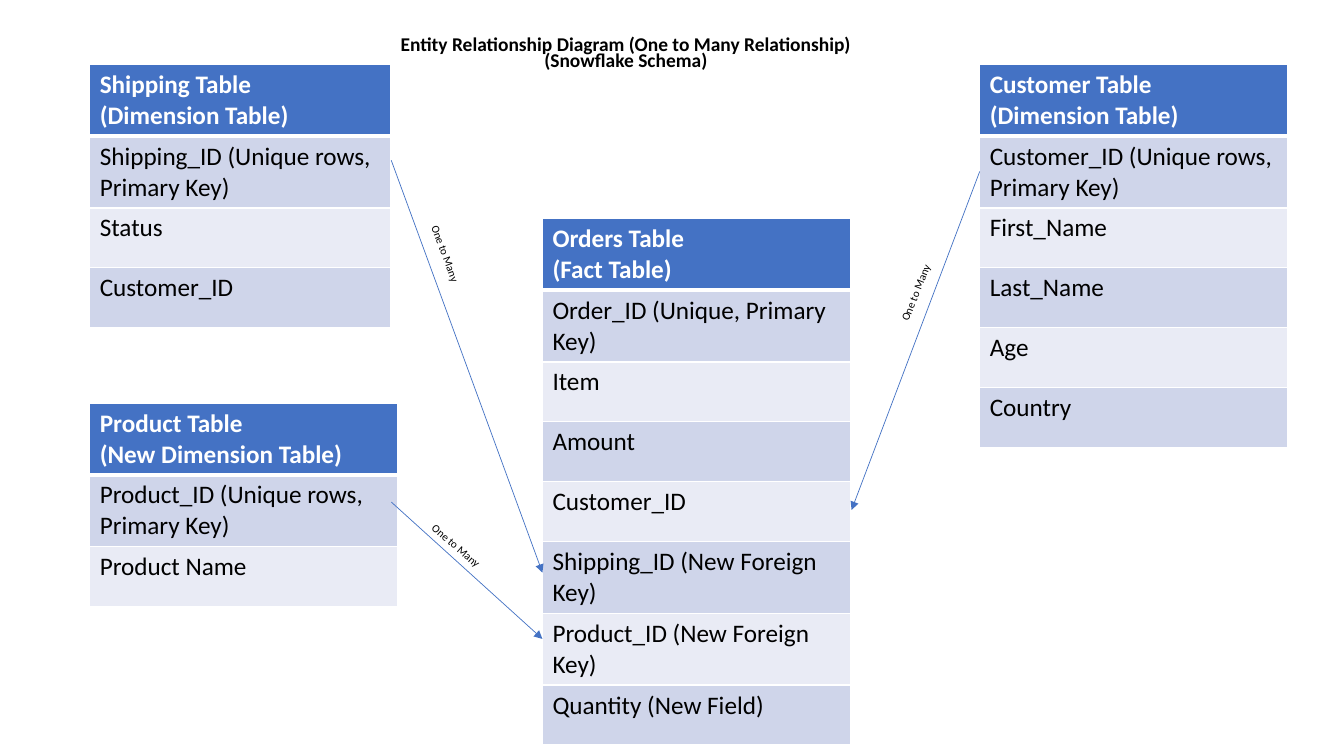
from dataclasses import dataclass

from lxml.etree import SubElement
from pptx import Presentation
from pptx.dml.color import RGBColor
from pptx.enum.shapes import MSO_CONNECTOR
from pptx.enum.text import MSO_ANCHOR, MSO_AUTO_SIZE, PP_ALIGN
from pptx.oxml.ns import qn
from pptx.util import Cm, Pt


@dataclass(frozen=True)
class Theme:
    font: str = "Calibri"
    accent: str = "4472C4"
    bands: tuple = ("CFD5EA", "E9EBF5")
    light: str = "FFFFFF"
    dark: str = "000000"
    title_size: float = 13.9
    table_size: float = 18
    label_size: float = 8
    row_height: float = 1.51
    grid_width: float = 1
    header_rule: float = 3
    link_width: float = 0.5


class DiagramSlide:
    def __init__(self, page, theme):
        self.page = page
        self.theme = theme

    def style_text(self, frame, size, color, bold=False):
        for paragraph in frame.paragraphs:
            font = paragraph.font
            font.name = self.theme.font
            font.size = Pt(size)
            font.bold = bold
            font.color.rgb = RGBColor.from_string(color)

    def title(self, text, left, top, width, height):
        box = self.page.shapes.title
        box.left, box.top, box.width, box.height = map(Cm, (left, top, width, height))
        frame = box.text_frame
        frame.text = text
        frame.word_wrap = True
        frame.auto_size = MSO_AUTO_SIZE.NONE
        frame.vertical_anchor = MSO_ANCHOR.BOTTOM
        for paragraph in frame.paragraphs:
            paragraph.alignment = PP_ALIGN.CENTER
            paragraph.line_spacing = 0.7
        self.style_text(frame, self.theme.title_size, self.theme.dark, bold=True)

    def border(self, cell, side, width):
        properties = cell._tc.get_or_add_tcPr()
        line = SubElement(properties, qn(f"a:ln{side}"), w=str(Pt(width)))
        fill = SubElement(line, qn("a:solidFill"))
        SubElement(fill, qn("a:srgbClr"), val=self.theme.light)

    def entity(self, heading, fields, left, top, width):
        """Draw one database table: a heading row above banded field rows."""
        theme = self.theme
        texts = [heading, *fields]
        frame = self.page.shapes.add_table(
            len(texts), 1, Cm(left), Cm(top), Cm(width),
            Cm(theme.row_height * len(texts)))
        for index, text in enumerate(texts):
            is_heading = index == 0
            cell = frame.table.cell(index, 0)
            cell.text = text
            rules = {"T": theme.header_rule if index == 1 else theme.grid_width,
                     "B": theme.header_rule if is_heading else theme.grid_width}
            for side in "LRTB":
                self.border(cell, side, rules.get(side, theme.grid_width))
            cell.fill.solid()
            fill = theme.accent if is_heading else theme.bands[(index - 1) % 2]
            cell.fill.fore_color.rgb = RGBColor.from_string(fill)
            self.style_text(cell.text_frame, theme.table_size,
                            theme.light if is_heading else theme.dark, is_heading)

    def arrow(self, start, end):
        link = self.page.shapes.add_connector(
            MSO_CONNECTOR.STRAIGHT, *map(Cm, (*start, *end)))
        link.line.color.rgb = RGBColor.from_string(self.theme.accent)
        link.line.width = Pt(self.theme.link_width)
        SubElement(link.line._get_or_add_ln(), qn("a:tailEnd"), type="triangle")
        SubElement(link._element.spPr, qn("a:effectLst"))

    def label(self, text, left, top, rotation):
        box = self.page.shapes.add_textbox(Cm(left), Cm(top), Cm(2.03), Cm(0.61))
        box.rotation = rotation
        frame = box.text_frame
        frame.text = text
        frame.word_wrap = True
        frame.auto_size = MSO_AUTO_SIZE.SHAPE_TO_FIT_TEXT
        self.style_text(frame, self.theme.label_size, self.theme.dark)


ENTITIES = [
    ("Orders Table\n(Fact Table)",
     ["Order_ID (Unique, Primary Key)", "Item", "Amount", "Customer_ID",
      "Shipping_ID (New Foreign Key)", "Product_ID (New Foreign Key)",
      "Quantity (New Field)"], 13.67, 5.51, 7.77),
    ("Customer Table\n(Dimension Table)",
     ["Customer_ID (Unique rows, Primary Key)", "First_Name", "Last_Name", "Age",
      "Country"], 24.69, 1.63, 7.77),
    ("Shipping Table\n(Dimension Table)",
     ["Shipping_ID (Unique rows, Primary Key)", "Status", "Customer_ID"],
     2.26, 1.63, 7.59),
    ("Product Table\n(New Dimension Table)",
     ["Product_ID (Unique rows, Primary Key)", "Product Name"], 2.26, 10.16, 7.77),
]

# Arrow start, arrow end, label position, label rotation
RELATIONSHIPS = [
    ((9.86, 4.04), (13.67, 14.43), (10.21, 6.1), 69.7),
    ((9.86, 12.65), (13.67, 16.1), (10.49, 13.46), 41),
    ((24.69, 4.32), (21.46, 12.85), (22.07, 7.06), 292.1),
]


def main():
    deck = Presentation()
    deck.slide_width, deck.slide_height = Cm(33.87), Cm(19.05)
    title_only = deck.slide_layouts.get_by_name("Title Only")
    diagram = DiagramSlide(deck.slides.add_slide(title_only), Theme())
    diagram.title("Entity Relationship Diagram (One to Many Relationship)\n"
                  "(Snowflake Schema)", 1.17, 0.74, 29.21, 1.17)
    for entity in ENTITIES:
        diagram.entity(*entity)
    for start, end, position, rotation in RELATIONSHIPS:
        diagram.arrow(start, end)
        diagram.label("One to Many", *position, rotation)
    deck.save("out.pptx")


if __name__ == "__main__":
    main()
